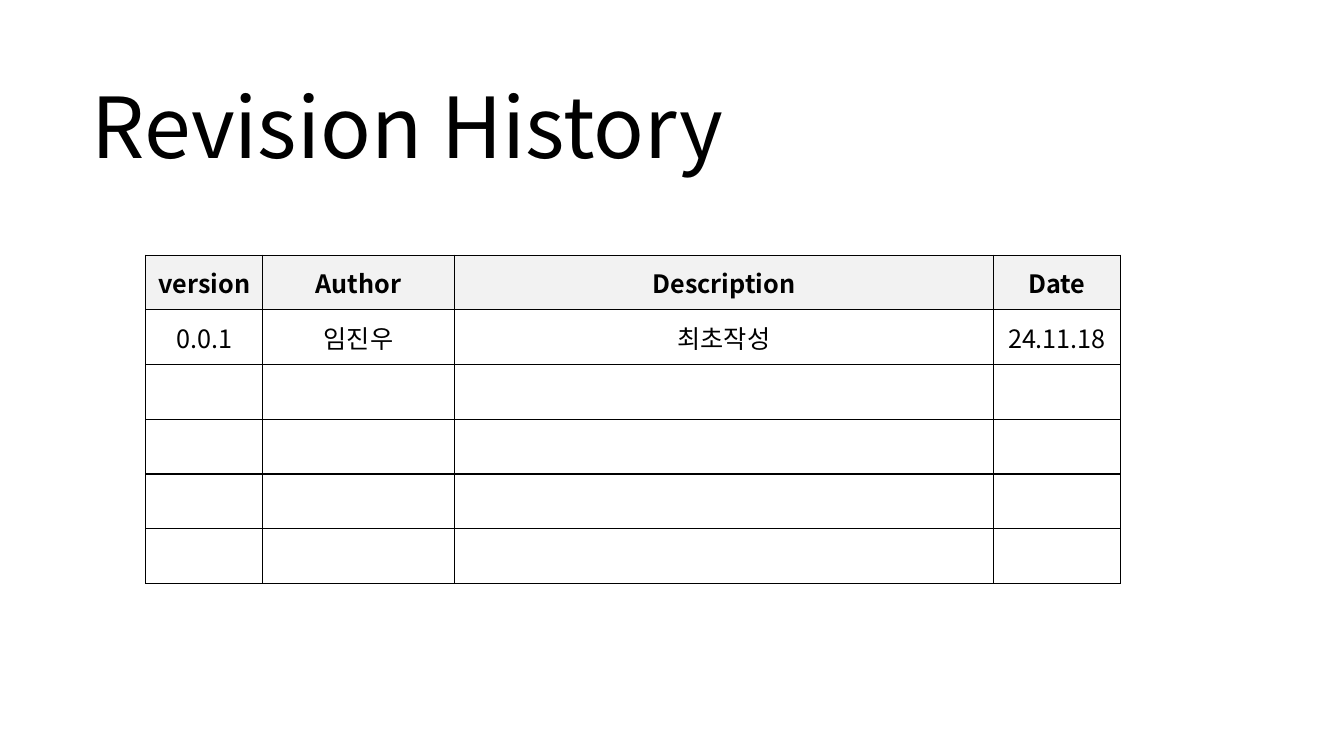
from dataclasses import dataclass

from lxml import etree
from pptx import Presentation
from pptx import util as u
from pptx.dml import color
from pptx.enum import text
from pptx.oxml import ns


@dataclass(frozen=True)
class Theme:
    font: str = "Noto Sans CJK KR"
    ink: str = "000000"
    head: str = "F2F2F2"
    paper: str = "FFFFFF"
    title: int = 60
    body: int = 18
    rule: int = 1


class Page:
    def __init__(self, deck, theme):
        self.theme = theme
        self.slide = deck.slides.add_slide(deck.slide_layouts[5])

    def style(self, para, size, bold=False):
        """Format the runs, with the same face for Latin and Korean."""
        for run in para.runs:
            font = run.font
            font.size, font.bold = u.Pt(size), bold
            font.name = self.theme.font
            font.color.rgb = color.RGBColor.from_string(self.theme.ink)
            latin = font._element.find(ns.qn("a:latin"))
            east = etree.Element(ns.qn("a:ea"), typeface=self.theme.font)
            latin.addnext(east)

    def title(self, words, left, top, width, height):
        box = self.slide.shapes.title
        box.left, box.top = u.Pt(left), u.Pt(top)
        box.width, box.height = u.Pt(width), u.Pt(height)
        frame = box.text_frame
        frame.text = words
        frame.word_wrap = True
        frame.auto_size = text.MSO_AUTO_SIZE.NONE
        frame.vertical_anchor = text.MSO_ANCHOR.BOTTOM
        para = frame.paragraphs[0]
        para.alignment = text.PP_ALIGN.LEFT
        para.line_spacing = 0.9
        self.style(para, self.theme.title)

    def border(self, cell):
        props = cell._tc.get_or_add_tcPr()
        for side in ("lnL", "lnR", "lnT", "lnB"):
            line = etree.SubElement(props, ns.qn(f"a:{side}"),
                                    w=str(u.Pt(self.theme.rule)))
            fill = etree.SubElement(line, ns.qn("a:solidFill"))
            etree.SubElement(fill, ns.qn("a:srgbClr"), val=self.theme.ink)

    def table(self, rows, left, top, widths, height):
        """Draw a ruled grid whose first row is the heading."""
        grid = self.slide.shapes.add_table(
            len(rows), len(widths), u.Pt(left), u.Pt(top),
            u.Pt(sum(widths)), u.Pt(height * len(rows))).table
        grid.horz_banding = False
        for col, width in zip(grid.columns, widths):
            col.width = u.Pt(width)
        for i, (row, words) in enumerate(zip(grid.rows, rows)):
            row.height = u.Pt(height)
            for cell, word in zip(row.cells, words):
                self.cell(cell, word, head=i == 0)

    def cell(self, cell, word, head):
        self.border(cell)
        cell.fill.solid()
        shade = self.theme.head if head else self.theme.paper
        cell.fill.fore_color.rgb = color.RGBColor.from_string(shade)
        cell.vertical_anchor = text.MSO_ANCHOR.MIDDLE
        if word:
            cell.text_frame.text = word
            para = cell.text_frame.paragraphs[0]
            para.alignment = text.PP_ALIGN.CENTER
            self.style(para, self.theme.body, head)


def main():
    deck = Presentation()
    deck.slide_width, deck.slide_height = u.Pt(960), u.Pt(540)
    page = Page(deck, Theme())
    page.title("Revision History", 58.3, 25.2, 491.8, 104.4)
    widths = [83.5, 136.8, 385.2, 90.7]
    rows = [
        ["version", "Author", "Description", "Date"],
        ["0.0.1", "임진우", "최초작성", "24.11.18"],
    ] + [[""] * len(widths)] * 4
    page.table(rows, 104.2, 182.2, widths, 39.1)
    deck.save("out.pptx")


if __name__ == "__main__":
    main()
